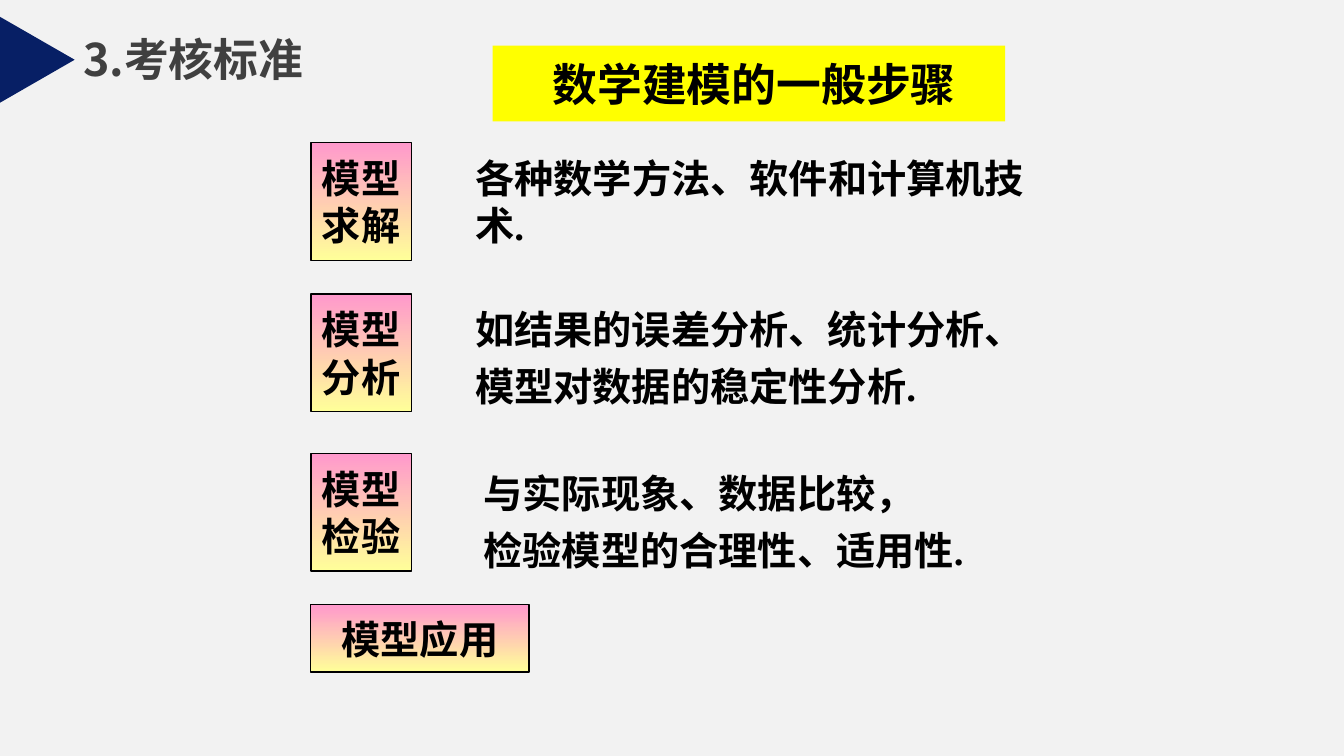
from pptx import Presentation
from pptx.dml.color import RGBColor
from pptx.enum.shapes import MSO_SHAPE
from pptx.enum.text import MSO_ANCHOR, PP_ALIGN
from pptx.util import Pt

RECTANGLE = MSO_SHAPE.RECTANGLE
TRIANGLE = MSO_SHAPE.ISOSCELES_TRIANGLE
TOP, MIDDLE = MSO_ANCHOR.TOP, MSO_ANCHOR.MIDDLE
LEFT, CENTER = PP_ALIGN.LEFT, PP_ALIGN.CENTER

BACKGROUND = RGBColor(0xF2, 0xF2, 0xF2)
BLACK = RGBColor(0, 0, 0)
GREY = RGBColor(0x40, 0x40, 0x40)
NAVY = RGBColor(0x07, 0x1F, 0x65)
YELLOW = RGBColor(0xFF, 0xFF, 0)
PINK = RGBColor(0xFF, 0x99, 0xCC)
CREAM = RGBColor(0xFF, 0xFF, 0x99)

HEADING_FONT = "Noto Sans CJK SC"
BODY_FONT = "Times New Roman"

# Step label, label box, explanation, explanation box: (left, top, width, height)
STEPS = [
    (["模型", "求解"], (166.5, 76.5, 54, 63),
     ["各种数学方法、软件和计算机技术."], (247.5, 90, 328.5, 36)),
    (["模型", "分析"], (166.5, 157.5, 54, 63),
     ["如结果的误差分析、统计分析、", "模型对数据的稳定性分析."], (247.5, 157.5, 324, 63)),
    (["模型", "检验"], (166.5, 243, 54, 63),
     ["与实际现象、数据比较，", "检验模型的合理性、适用性."], (252, 243, 404, 67.5)),
    (["模型应用"], (166.5, 324, 117, 36), [], None),
]


def write_text(shape, lines, font=BODY_FONT, size=21, color=BLACK, align=LEFT,
               anchor=MIDDLE, wrap=False, spacing=None):
    frame = shape.text_frame
    frame.word_wrap = wrap
    frame.vertical_anchor = anchor
    for index, line in enumerate(lines):
        para = frame.add_paragraph() if index else frame.paragraphs[0]
        para.alignment = align
        if spacing:
            para.line_spacing = spacing
        span = para.add_run()
        span.text = line
        span.font.name = font
        span.font.size = Pt(size)
        span.font.bold = True
        span.font.color.rgb = color


def add_plain_shape(page, kind, box, color):
    shape = page.shapes.add_shape(kind, *map(Pt, box))
    shape.shadow.inherit = False
    shape.fill.solid()
    shape.fill.fore_color.rgb = color
    shape.line.fill.background()
    return shape


def add_section_title(page, box):
    left, top, width, height = box
    marker = add_plain_shape(page, TRIANGLE, (-3, top - 1.5, 46, 40), NAVY)
    marker.rotation = 90
    title = page.shapes.add_textbox(Pt(left), Pt(top), Pt(width), Pt(height))
    write_text(title, ["3.考核标准"], font=HEADING_FONT, size=24, color=GREY,
               anchor=TOP, wrap=True)


def add_banner(page, box):
    banner = add_plain_shape(page, RECTANGLE, box, YELLOW)
    write_text(banner, [" 数学建模的一般步骤"], font=HEADING_FONT, size=24, align=CENTER)


def add_step_label(page, lines, box):
    label = add_plain_shape(page, RECTANGLE, box, PINK)
    label.fill.gradient()
    label.fill.gradient_angle = 270
    for stop, color, position in zip(label.fill.gradient_stops, (PINK, CREAM), (0, 1)):
        stop.color.rgb = color
        stop.position = position
    label.line.color.rgb = BLACK
    label.line.width = Pt(0.75)
    write_text(label, lines, align=CENTER)


def add_explanation(page, lines, box):
    note = page.shapes.add_textbox(*map(Pt, box))
    write_text(note, lines, spacing=1.2 if len(lines) > 1 else None)


def main():
    deck = Presentation()
    deck.slide_width, deck.slide_height = Pt(720), Pt(405)
    page = deck.slides.add_slide(deck.slide_layouts[6])
    page.background.fill.solid()
    page.background.fill.fore_color.rgb = BACKGROUND

    for label, label_box, explanation, explanation_box in STEPS:
        add_step_label(page, label, label_box)
        if explanation:
            add_explanation(page, explanation, explanation_box)
    add_banner(page, (264, 24.5, 274.5, 40.5))
    add_section_title(page, (37.5, 13.5, 133, 36))
    deck.save("out.pptx")


if __name__ == "__main__":
    main()
